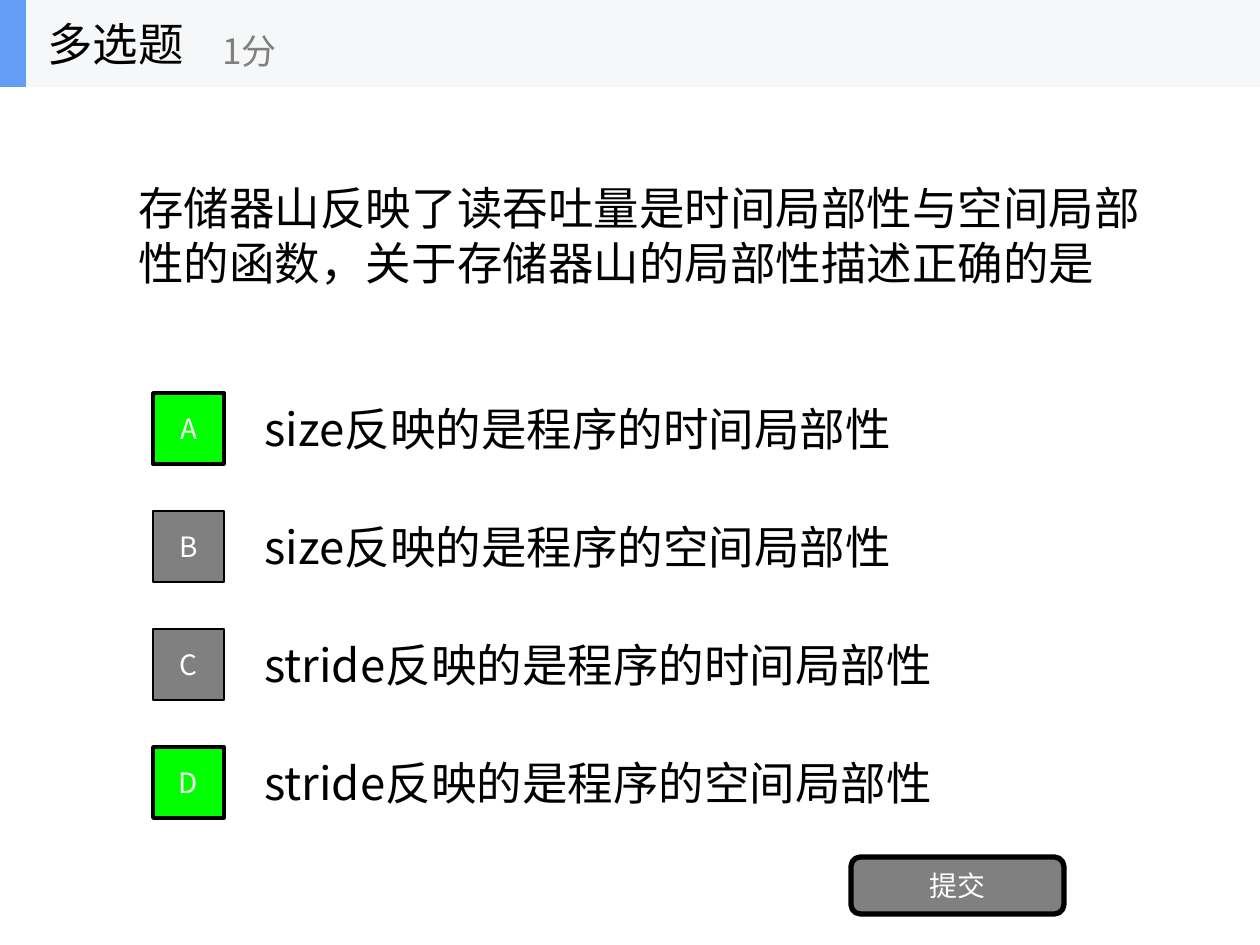
from dataclasses import dataclass

from lxml.etree import SubElement
from pptx import Presentation
from pptx.dml.color import RGBColor
from pptx.enum.shapes import MSO_SHAPE
from pptx.enum.text import MSO_ANCHOR, PP_ALIGN
from pptx.oxml.ns import qn
from pptx.util import Emu, Pt

PX = 914400 / 126
FONT = "Noto Sans CJK SC"
COLORS = {
    "black": "000000",
    "white": "FFFFFF",
    "gray": "808080",
    "correct": "00FF00",
    "header": "F6F7F8",
    "accent": "639EF4",
}
OPTION_TOP, OPTION_PITCH = 384, 118


@dataclass(frozen=True)
class Box:
    x: int
    y: int
    w: int
    h: int

    def emu(self) -> list[Emu]:
        return [Emu(round(v * PX)) for v in (self.x, self.y, self.w, self.h)]


@dataclass(frozen=True)
class Option:
    letter: str
    text: str
    correct: bool


OPTIONS = [
    Option("A", "size反映的是程序的时间局部性", True),
    Option("B", "size反映的是程序的空间局部性", False),
    Option("C", "stride反映的是程序的时间局部性", False),
    Option("D", "stride反映的是程序的空间局部性", True),
]


def rgb(name: str) -> RGBColor:
    return RGBColor.from_string(COLORS[name])


def write(sp, text: str, size: int, color: str, align=PP_ALIGN.LEFT) -> None:
    tf = sp.text_frame
    tf.word_wrap = True
    tf.vertical_anchor = MSO_ANCHOR.MIDDLE
    tf.text = text
    p = tf.paragraphs[0]
    p.alignment = align
    r = p.runs[0]
    r.font.size = Pt(size)
    r.font.name = FONT
    r.font.color.rgb = rgb(color)
    SubElement(r.font._element, qn("a:ea"), typeface=FONT)


def add_label(s, box: Box, text: str, size: int = 26, color: str = "black") -> None:
    write(s.shapes.add_textbox(*box.emu()), text, size, color)


def add_block(s, box: Box, fill: str, line: int = 0, text: str = "",
              kind: MSO_SHAPE = MSO_SHAPE.RECTANGLE) -> None:
    sp = s.shapes.add_shape(kind, *box.emu())
    sp.shadow.inherit = False
    sp.fill.solid()
    sp.fill.fore_color.rgb = rgb(fill)
    if line:
        sp.line.color.rgb = rgb("black")
        sp.line.width = Pt(line)
    else:
        sp.line.fill.background()
    if text:
        write(sp, text, 16, "white", PP_ALIGN.CENTER)


def add_option(s, index: int, option: Option) -> None:
    y = OPTION_TOP + index * OPTION_PITCH
    add_label(s, Box(252, y, 882, 88), option.text)
    fill, line = ("correct", 2) if option.correct else ("gray", 1)
    add_block(s, Box(153, y + 9, 71, 71), fill, line, option.letter)


def main() -> None:
    """Build the multiple-choice question slide."""
    prs = Presentation()
    prs.slide_width, prs.slide_height = Box(0, 0, 1260, 945).emu()[2:]
    s = prs.slides.add_slide(prs.slide_layouts[6])
    add_label(s, Box(126, 87, 1050, 295),
              "存储器山反映了读吞吐量是时间局部性与空间局部性的函数，关于存储器山的局部性描述正确的是")
    for i, option in enumerate(OPTIONS):
        add_option(s, i, option)
    add_block(s, Box(851, 857, 213, 57), "gray", 3, "提交", MSO_SHAPE.ROUNDED_RECTANGLE)
    add_block(s, Box(0, 0, 1260, 87), "header")
    add_block(s, Box(0, 0, 26, 87), "accent")
    add_label(s, Box(35, 0, 262, 87), "多选题")
    add_label(s, Box(210, 15, 315, 71), "1分", 20, "gray")
    prs.save("out.pptx")


if __name__ == "__main__":
    main()
